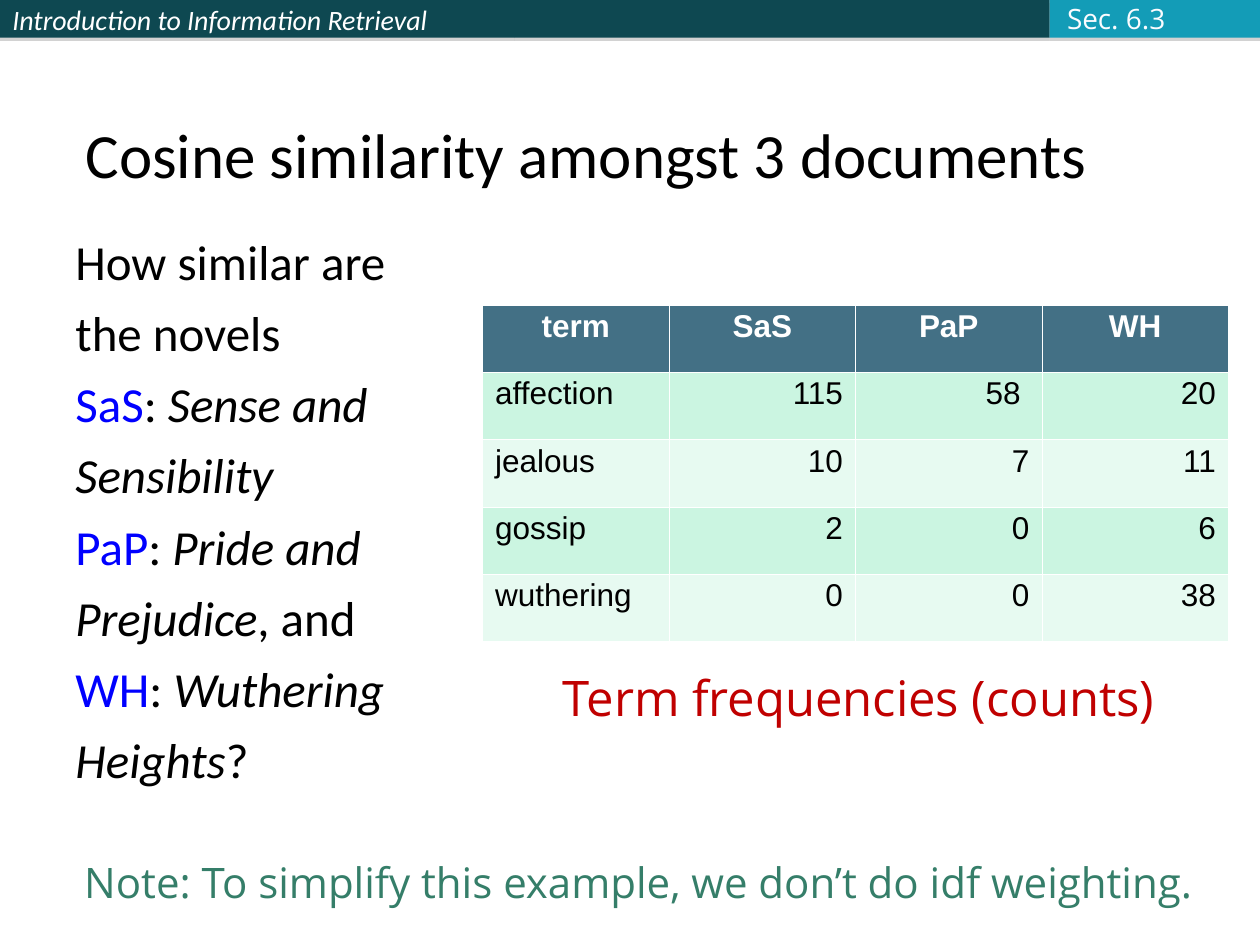
from lxml import etree
from pptx import Presentation
from pptx import util as u
from pptx.dml.color import RGBColor
from pptx.enum import shapes, text
from pptx.oxml import ns

WHITE = RGBColor(0xFF, 0xFF, 0xFF)
PALE = RGBColor(0xFB, 0xFC, 0xFF)
BLACK = RGBColor(0, 0, 0)
BLUE = RGBColor(0, 0, 0xFF)
RED = RGBColor(0xC0, 0, 0)
GREEN = RGBColor(0x35, 0x7E, 0x69)
DARK_TEAL = RGBColor(0x0E, 0x48, 0x51)
CYAN = RGBColor(0x13, 0x9C, 0xB7)
SLATE = RGBColor(0x43, 0x70, 0x85)
MINT = RGBColor(0xCB, 0xF5, 0xE1)
LIGHT_MINT = RGBColor(0xE7, 0xFA, 0xF1)
SHADOW = RGBColor(0x80, 0x80, 0x80)

TERM_COUNTS = [
    ["term", "SaS", "PaP", "WH"],
    ["affection", "115", "58 ", "20"],
    ["jealous", "10", "7", "11"],
    ["gossip", "2", "0", "6"],
    ["wuthering", "0", "0", "38"],
]

PLAIN, ITALIC, KEY = (BLACK, False), (BLACK, True), (BLUE, False)
NOVELS = [
    [("How similar are", PLAIN)],
    [("the novels", PLAIN)],
    [("SaS", KEY), (": ", PLAIN), ("Sense and", ITALIC)],
    [("Sensibility", ITALIC)],
    [("PaP", KEY), (": ", PLAIN), ("Pride and", ITALIC)],
    [("Prejudice", ITALIC), (", and", PLAIN)],
    [("WH", KEY), (": ", PLAIN), ("Wuthering", ITALIC)],
    [("Heights", ITALIC), ("?", PLAIN)],
]


def inches(box):
    return [u.Inches(length) for length in box]


def add_color(parent, color):
    return etree.SubElement(parent, ns.qn("a:srgbClr"), val=str(color))


class SlideWriter:
    heading_font = "Calibri"
    note_font = "Open Sans"
    table_font = "Arial"

    def __init__(self, slide):
        self.slide = slide

    def style(self, paragraph, size, face, color=None, bold=None, italic=None):
        font = paragraph.font
        font.name, font.size = face, u.Pt(size)
        font.bold, font.italic = bold, italic
        if color is not None:
            font.color.rgb = color

    def bar(self, box, color, label=""):
        bar = self.slide.shapes.add_shape(shapes.MSO_SHAPE.RECTANGLE, *inches(box))
        bar.fill.solid()
        bar.fill.fore_color.rgb = color
        bar.line.fill.background()
        bar.shadow.inherit = False
        effects = bar.element.spPr.find(ns.qn("a:effectLst"))
        outer = etree.SubElement(effects, ns.qn("a:outerShdw"), dist=str(u.Pt(1.8)),
                                 dir="5400000", rotWithShape="0")
        etree.SubElement(add_color(outer, SHADOW), ns.qn("a:alpha"), val="35000")
        if label:
            bar.text_frame.vertical_anchor = text.MSO_ANCHOR.MIDDLE
            title = bar.text_frame.paragraphs[0]
            title.text = label
            title.alignment = text.PP_ALIGN.LEFT
            self.style(title, 16, self.heading_font, WHITE, italic=True)

    def frame(self, box, wrap, anchor):
        frame = self.slide.shapes.add_textbox(*inches(box)).text_frame
        frame.word_wrap = wrap
        frame.vertical_anchor = anchor
        return frame

    def line(self, box, words, size, face, color, wrap=False, anchor=text.MSO_ANCHOR.TOP):
        frame = self.frame(box, wrap, anchor)
        if not wrap:
            frame.auto_size = text.MSO_AUTO_SIZE.SHAPE_TO_FIT_TEXT
        paragraph = frame.paragraphs[0]
        paragraph.text = words
        self.style(paragraph, size, face, color)

    def rich_lines(self, box, lines, size):
        frame = self.frame(box, True, text.MSO_ANCHOR.TOP)
        for index, pieces in enumerate(lines):
            paragraph = frame.add_paragraph() if index else frame.paragraphs[0]
            paragraph.space_before = u.Pt(7)
            self.style(paragraph, size, self.heading_font)
            for words, (color, italic) in pieces:
                run = paragraph.add_run()
                run.text = words
                run.font.color.rgb = color
                run.font.italic = italic

    def borders(self, cell, widths):
        properties = cell._tc.get_or_add_tcPr()
        for index, (side, width) in enumerate(widths.items()):
            edge = etree.Element(ns.qn(f"a:ln{side}"), w=str(u.Pt(width)))
            add_color(etree.SubElement(edge, ns.qn("a:solidFill")), WHITE)
            properties.insert(index, edge)

    def table(self, box, rows):
        grid = self.slide.shapes.add_table(len(rows), len(rows[0]), *inches(box)).table
        for r, row in enumerate(rows):
            header = r == 0
            fill = SLATE if header else MINT if r % 2 else LIGHT_MINT
            widths = {"L": 0.23, "R": 0.23, "T": 0.75 if r == 1 else 0.23,
                      "B": 0.75 if header else 0.23}
            for c, words in enumerate(row):
                cell = grid.cell(r, c)
                cell.fill.solid()
                cell.fill.fore_color.rgb = fill
                self.borders(cell, widths)
                paragraph = cell.text_frame.paragraphs[0]
                paragraph.text = words
                paragraph.line_spacing = 0.93
                paragraph.alignment = (text.PP_ALIGN.CENTER if header else
                                       text.PP_ALIGN.RIGHT if c else text.PP_ALIGN.LEFT)
                self.style(paragraph, 18, self.table_font,
                           WHITE if header else BLACK, bold=header)


def main():
    deck = Presentation()
    deck.slide_width, deck.slide_height = u.Inches(10), u.Inches(7.5)
    page = SlideWriter(deck.slides.add_slide(deck.slide_layouts[6]))

    page.bar((0, 0, 4.08, 0.3), DARK_TEAL, "Introduction to Information Retrieval")
    page.bar((4.08, 0, 4.25, 0.3), DARK_TEAL)
    page.bar((8.33, 0, 1.67, 0.3), CYAN)
    page.line((0.58, 0.3, 9.42, 1.27), "Cosine similarity amongst 3 documents",
              36, page.heading_font, BLACK, wrap=True, anchor=text.MSO_ANCHOR.BOTTOM)
    page.table((3.83, 2.42, 5.92, 2.67), TERM_COUNTS)
    page.rich_lines((0.5, 1.79, 3.29, 5.13), NOVELS, 28)
    page.line((4.37, 5.25, 4.96, 0.57), "Term frequencies (counts)",
              28, page.note_font, RED)
    page.line((8.37, -0.04, 0.98, 0.37), "Sec. 6.3",
              16, page.note_font, PALE, anchor=text.MSO_ANCHOR.MIDDLE)
    page.line((0.57, 6.75, 9.15, 0.5),
              "Note: To simplify this example, we don’t do idf weighting.",
              24, page.note_font, GREEN)
    deck.save("out.pptx")


if __name__ == "__main__":
    main()
